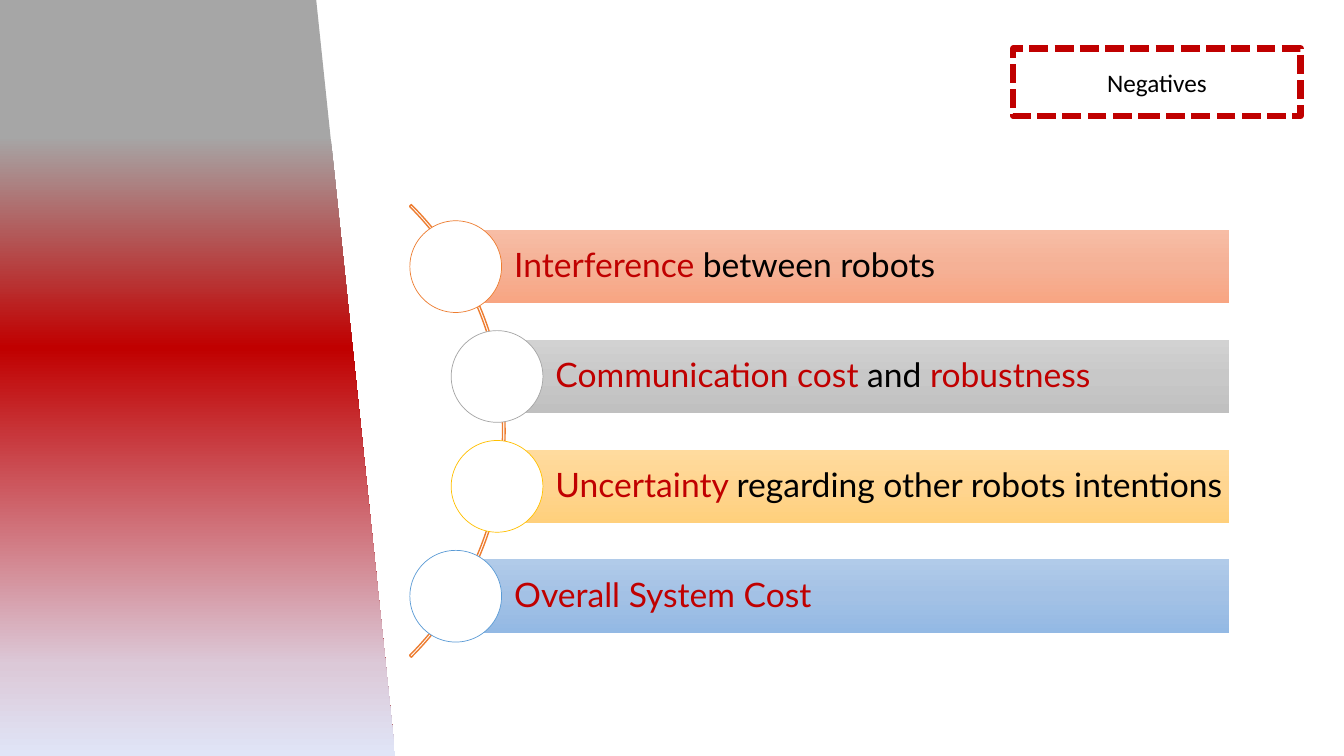
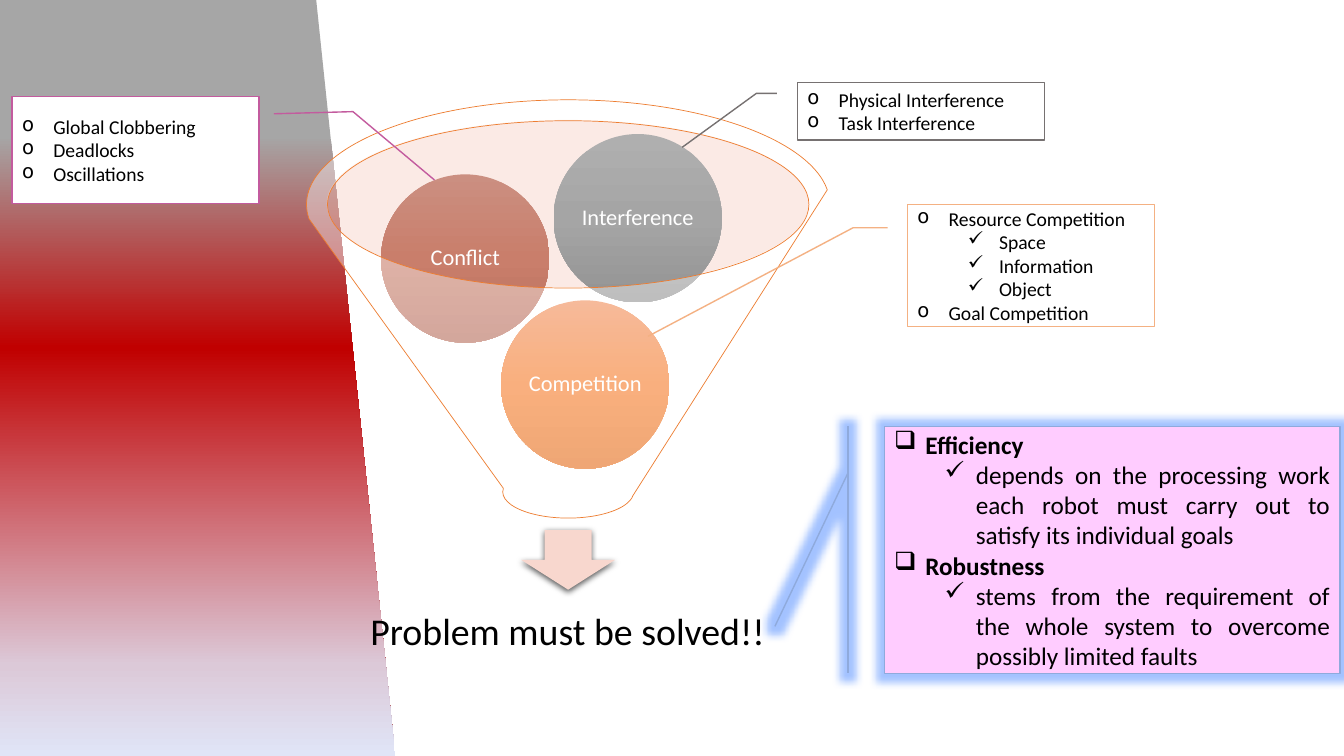
from dataclasses import dataclass

from pptx import Presentation
from pptx.dml.color import RGBColor
from pptx.enum.dml import MSO_LINE
from pptx.enum.shapes import MSO_SHAPE as Preset
from pptx.enum.text import MSO_ANCHOR as Anchor, MSO_AUTO_SIZE as AutoSize, PP_ALIGN as Align
from pptx.oxml import parse_xml
from pptx.oxml.ns import nsdecls, qn
from pptx.util import Inches, Pt


@dataclass(frozen=True)
class Theme:
    font: str = "Calibri"
    bar_font: str = "Lato"
    black: str = "000000"
    white: str = "FFFFFF"
    red: str = "C00000"
    orange: str = "ED7D31"
    gray: str = "767171"
    peach: str = "F4B183"
    violet: str = "C35B9E"
    blue: str = "8FAADC"
    glow: str = "1A68FF"
    pink: str = "FFCCFF"
    rim: str = "F6CCBE"
    arrow: str = "F8D7CE"
    band: tuple = ((18, "A6A6A6"), (46, "C00000"), (88, "DCC9D8"), (100, "E0E5F7"))
    note_size: int = 14
    ball_size: int = 16
    box_size: int = 18
    bar_size: int = 24
    result_size: int = 27


THEME = Theme()
INSETS = (0.1, 0.05, 0.1, 0.05)

BARS = [
    (4.52, THEME.orange, ("F7BDA5", "F5B196", "F8A582"),
     [("Interference ", THEME.red), ("between robots", THEME.black)]),
    (4.93, "A5A5A5", ("D2D2D2", "C8C8C8", "C0C0C0"),
     [("Communication cost ", THEME.red), ("and", THEME.black), (" robustness", THEME.red)]),
    (4.93, "FFC000", ("FFDB9E", "FFD590", "FFD07C"),
     [("Uncertainty ", THEME.red), ("regarding other robots intentions", THEME.black)]),
    (4.52, "5B9BD5", ("B1CBE9", "A3C1E5", "93B9E4"),
     [("Overall System Cost", THEME.red)]),
]

BALLS = [
    ("Competition", 4.97, 2.98, ("F18C57", "F67B28", "E56C19")),
    ("Conflict", 3.78, 1.73, ("CB8F81", "C97E6B", "B76D5B")),
    ("Interference", 5.49, 1.33, ("AFAFAF", "A5A5A5", "939393")),
]

CALLOUTS = [
    ((7.91, 0.82, 2.45, 0.57), THEME.gray, (),
     [("o", "Physical Interference"), ("o", "Task Interference")]),
    ((9, 2.03, 2.45, 1.21), THEME.peach, (0.19, -0.08, 0.19, -0.22, 1.08, -1.05),
     [("o", "Resource Competition"), ("✓", "Space"), ("✓", "Information"),
      ("✓", "Object"), ("o", "Goal Competition")]),
    ((0.12, 0.96, 2.45, 1.06), THEME.violet, (0.16, 1.06, 0.14, 1.38, 0.78, 1.71),
     [("o", "Global Clobbering"), ("o", "Deadlocks"), ("o", "Oscillations")]),
]

GOALS = [
    ("❑", "Efficiency"),
    ("✓", "depends on the processing work each robot must carry out to satisfy its individual goals"),
    ("❑", "Robustness"),
    ("✓", "stems from the requirement of the whole system to overcome possibly limited faults"),
]


def color_xml(color, alpha=100):
    return f'<a:srgbClr val="{color}"><a:alpha val="{alpha * 1000}"/></a:srgbClr>'


def fill_gradient(shape, stops, angle):
    shape.fill.background()
    stop_xml = "".join(f'<a:gs pos="{pos * 1000}">{color_xml(color)}</a:gs>' for pos, color in stops)
    gradient = parse_xml(
        f'<a:gradFill {nsdecls("a")} rotWithShape="1"><a:gsLst>{stop_xml}</a:gsLst>'
        f'<a:lin ang="{angle * 60000}" scaled="0"/></a:gradFill>')
    properties = shape.element.spPr
    properties.replace(properties.find(qn("a:noFill")), gradient)


def paint(shape, fill=None, alpha=100, line=None, width=1):
    if isinstance(fill, tuple):
        fill_gradient(shape, zip((0, 50, 100), fill), 90)
    elif fill:
        shape.fill.solid()
        shape.fill.fore_color.rgb = RGBColor.from_string(fill)
        if alpha < 100:
            solid = shape.element.spPr.find(qn("a:solidFill"))
            solid.find(qn("a:srgbClr")).append(
                parse_xml(f'<a:alpha {nsdecls("a")} val="{alpha * 1000}"/>'))
    else:
        shape.fill.background()
    if line:
        shape.line.color.rgb = RGBColor.from_string(line)
        shape.line.width = Pt(width)
    else:
        shape.line.fill.background()


def add_preset(slide, preset, box, adjust=(), **look):
    shape = slide.shapes.add_shape(preset, *map(Inches, box))
    shape.shadow.inherit = False
    for index, value in enumerate(adjust):
        shape.adjustments[index] = value
    paint(shape, **look)
    return shape


def add_effect(shape, tag, attributes, color, alpha):
    shape.element.spPr.find(qn("a:effectLst")).append(
        parse_xml(f'<a:{tag} {nsdecls("a")} {attributes}>{color_xml(color, alpha)}</a:{tag}>'))


def open_frame(shape, insets=INSETS):
    frame = shape.text_frame
    frame.word_wrap = True
    frame.auto_size = AutoSize.NONE
    frame.vertical_anchor = Anchor.MIDDLE
    frame.margin_left, frame.margin_top, frame.margin_right, frame.margin_bottom = map(Inches, insets)
    return frame


def write(paragraph, text, size, color=THEME.black, font=THEME.font, bold=False,
          align=Align.LEFT, spacing=None):
    paragraph.alignment = align
    if spacing:
        paragraph.line_spacing = spacing
    run = paragraph.add_run()
    run.text = text
    run.font.size = Pt(size)
    run.font.name = font
    run.font.bold = bold
    run.font.color.rgb = RGBColor.from_string(color)


def set_bullet(paragraph, symbol):
    paragraph.level = 1 if symbol == "✓" else 0
    properties = paragraph._p.get_or_add_pPr()
    properties.set("marL", str(Inches(0.31 + 0.5 * paragraph.level)))
    properties.set("indent", str(-Inches(0.31)))
    properties.append(parse_xml(f'<a:buChar {nsdecls("a")} char="{symbol}"/>'))


def write_list(shape, items, **style):
    frame = open_frame(shape)
    for index, (symbol, text) in enumerate(items):
        paragraph = frame.add_paragraph() if index else frame.paragraphs[0]
        set_bullet(paragraph, symbol)
        write(paragraph, text, bold=symbol == "❑", **style)


def add_master_band(prs, slide):
    band = add_preset(slide, Preset.FLOWCHART_MANUAL_INPUT, (-1.79, 1.79, 7.5, 3.92))
    band.rotation = 90
    fill_gradient(band, THEME.band, 0)
    prs.slide_master.shapes.element.insert(2, band.element)


def add_boxed_title(slide, text):
    title = slide.shapes.title
    title.left, title.top, title.width, title.height = map(Inches, (10.05, 0.48, 2.85, 0.67))
    paint(title, fill=THEME.white, line=THEME.red, width=4.5)
    title.line.dash_style = MSO_LINE.SQUARE_DOT
    write(open_frame(title).paragraphs[0], text, THEME.box_size, align=Align.CENTER)


def add_bar(slide, row, left, ring, shades, runs):
    top, height, right, diameter = 2.28 + 1.09 * row, 0.73, 12.19, 0.91
    bar = add_preset(slide, Preset.RECTANGLE, (left, top, right - left, height), fill=shades)
    paragraph = open_frame(bar, (0.58, 0.07, 0, 0.07)).paragraphs[0]
    for text, color in runs:
        write(paragraph, text, THEME.bar_size, color=color, font=THEME.bar_font, spacing=0.9)
    add_preset(slide, Preset.OVAL,
               (left - diameter / 2, top + (height - diameter) / 2, diameter, diameter),
               fill=THEME.white, line=ring, width=0.5)


def add_ball(slide, text, left, top, shades):
    ball = add_preset(slide, Preset.OVAL, (left, top, 1.67, 1.67), fill=shades)
    write(open_frame(ball, (0.02,) * 4).paragraphs[0], text, THEME.ball_size,
          color=THEME.white, align=Align.CENTER, spacing=0.9)


def add_result(slide, text):
    arrow = add_preset(slide, Preset.DOWN_ARROW, (5.17, 5.26, 0.93, 0.59), fill=THEME.arrow)
    add_effect(arrow, "outerShdw",
               f'blurRad="{Pt(4.5)}" dist="{Pt(1.5)}" dir="5400000" rotWithShape="0"',
               THEME.black, 63)
    result = slide.shapes.add_textbox(*map(Inches, (3.41, 5.73, 4.44, 1.11)))
    write(open_frame(result, (0.21,) * 4).paragraphs[0], text, THEME.result_size,
          align=Align.CENTER, spacing=0.9)


def build_negatives(slide):
    add_boxed_title(slide, "Negatives")
    add_preset(slide, Preset.BLOCK_ARC, (-1.34, 1.1, 6.35, 6.35), (189, 27, 0.004),
               line=THEME.orange)
    for row, bar in enumerate(BARS):
        add_bar(slide, row, *bar)


def build_problem(slide):
    add_preset(slide, Preset.OVAL, (3.24, 1.19, 4.78, 1.66), fill=THEME.rim, alpha=40)
    add_result(slide, "Problem must be solved!!")
    for ball in BALLS:
        add_ball(slide, *ball)
    add_preset(slide, Preset.FUNNEL, (3.04, 0.99, 5.19, 4.15),
               fill=THEME.white, alpha=40, line=THEME.orange, width=0.5)
    for box, line, adjust, items in CALLOUTS:
        callout = add_preset(slide, Preset.LINE_CALLOUT_2, box, adjust, fill=THEME.white, line=line)
        write_list(callout, items, size=THEME.note_size)
    goals = add_preset(slide, Preset.LINE_CALLOUT_1_BORDER_AND_ACCENT_BAR, (8.77, 4.23, 4.52, 2.45),
                       (0.19, -0.08, 0.81, -0.24), fill=THEME.pink, line=THEME.blue)
    add_effect(goals, "glow", f'rad="{Pt(11)}"', THEME.glow, 40)
    write_list(goals, GOALS, size=THEME.box_size, align=Align.JUSTIFY)


def main():
    prs = Presentation()
    prs.slide_width, prs.slide_height = Inches(13.33), Inches(7.5)
    title_only, blank = prs.slide_layouts[5], prs.slide_layouts[6]
    negatives = prs.slides.add_slide(title_only)
    add_master_band(prs, negatives)
    build_negatives(negatives)
    build_problem(prs.slides.add_slide(blank))
    prs.save("out.pptx")


if __name__ == "__main__":
    main()
